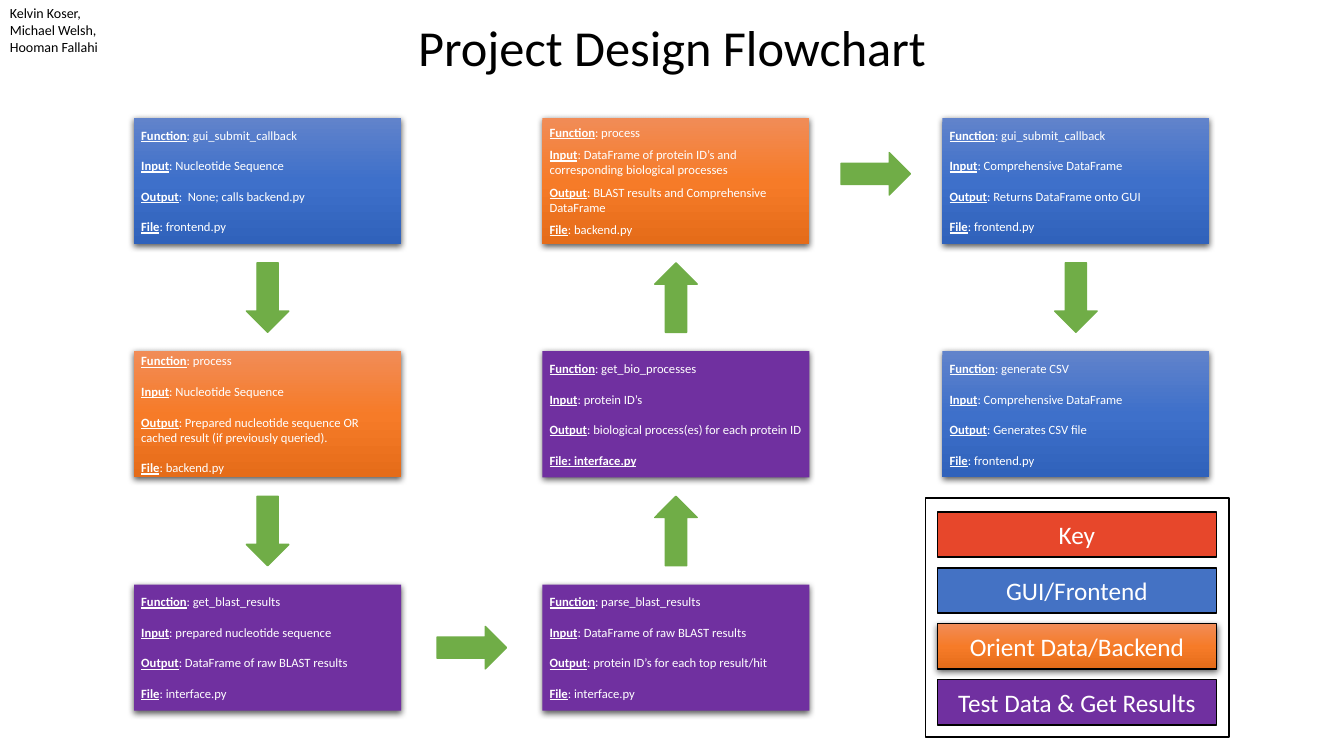
from copy import deepcopy

from lxml import etree
from pptx import Presentation
from pptx.dml.color import RGBColor
from pptx.enum.shapes import MSO_SHAPE
from pptx.enum.text import MSO_ANCHOR, PP_ALIGN
from pptx.oxml.ns import qn
from pptx.util import Cm, Pt

RECT, ARROW = MSO_SHAPE.RECTANGLE, MSO_SHAPE.DOWN_ARROW
LEFT, CENTER = PP_ALIGN.LEFT, PP_ALIGN.CENTER
MIDDLE = MSO_ANCHOR.MIDDLE

BLACK = RGBColor(0x00, 0x00, 0x00)
WHITE = RGBColor(0xFF, 0xFF, 0xFF)
GREEN = RGBColor(0x70, 0xAD, 0x47)
RED = RGBColor(0xE7, 0x47, 0x2B)
BLUE = RGBColor(0x44, 0x72, 0xC4)
PURPLE = RGBColor(0x70, 0x30, 0xA0)
FRONT = [RGBColor(0x61, 0x83, 0xCB), RGBColor(0x3E, 0x70, 0xCA), RGBColor(0x30, 0x62, 0xBB)]
BACK = [RGBColor(0xF1, 0x8C, 0x57), RGBColor(0xF6, 0x7B, 0x28), RGBColor(0xE5, 0x6C, 0x19)]
TEST = [PURPLE]


def draw(kind, area, fills, line=None, width=1, shade=False):
    shape = slide.shapes.add_shape(kind, *[Cm(v) for v in area])
    shape.shadow.inherit = False
    props = shape._element.spPr
    if len(fills) == 3:
        shape.fill.gradient()
        shape.fill.gradient_angle = 270
        stops = props.find(".//" + qn("a:gsLst"))
        stops.append(deepcopy(stops[0]))
        for i, stop in enumerate(shape.fill.gradient_stops):
            stop.position = i / 2
            stop.color.rgb = fills[i]
    elif fills:
        shape.fill.solid()
        shape.fill.fore_color.rgb = fills[0]
    else:
        shape.fill.background()
    if line is None:
        shape.line.fill.background()
    else:
        shape.line.color.rgb = line
        shape.line.width = Pt(width)
    if shade:
        glow = etree.SubElement(props.find(qn("a:effectLst")), qn("a:outerShdw"),
                                blurRad="57150", dist="19050", dir="5400000",
                                algn="ctr", rotWithShape="0")
        tint = etree.SubElement(glow, qn("a:srgbClr"), val="000000")
        etree.SubElement(tint, qn("a:alpha"), val="63000")
    return shape


def write(shape, lines, size, color, align, gap=0, frame={}):
    text = shape.text_frame
    for name, value in {"word_wrap": True, **frame}.items():
        setattr(text, name, value)
    for i, parts in enumerate(lines):
        para = text.paragraphs[0] if i == 0 else text.add_paragraph()
        para.alignment = align
        para.space_before = Pt(gap if i else 0)
        for words, strong in parts:
            run = para.add_run()
            run.text = words
            look = {"name": "Calibri", "size": Pt(size), "bold": strong, "underline": strong}
            for name, value in look.items():
                setattr(run.font, name, value)
            run.font.color.rgb = color


deck = Presentation()
deck.slide_width, deck.slide_height = Cm(33.87), Cm(19.05)
slide = deck.slides.add_slide(deck.slide_layouts[6])

HEADS = [
    ((0, 0, 4.42, 1.55), ["Kelvin Koser,", "Michael Welsh,", "Hooman Fallahi"], 10, LEFT),
    ((7.14, 0.28, 19.6, 1.8), ["Project Design Flowchart"], 36, CENTER),
]
for area, lines, size, align in HEADS:
    box = slide.shapes.add_textbox(*[Cm(v) for v in area])
    write(box, [[(line, False)] for line in lines], size, BLACK, align)

COLS = [3.38, 13.67, 23.75]
TOP, PITCH, WIDE, HIGH = 2.97, 5.88, 6.73, 3.18
LABELS = ["Function", "Input", "Output", "File"]
INSETS = {"vertical_anchor": MIDDLE, "margin_left": Cm(0.18), "margin_right": Cm(0.18),
          "margin_top": Cm(0.1), "margin_bottom": Cm(0.1)}
STEPS = [
    (0, 0, FRONT, 11, ["gui_submit_callback", "Nucleotide Sequence",
                       "  None; calls backend.py", "frontend.py"]),
    (1, 0, BACK, 5, ["process", "DataFrame of protein ID’s and corresponding biological processes",
                     "BLAST results and Comprehensive DataFrame", "backend.py"]),
    (0, 1, BACK, 11, ["process", "Nucleotide Sequence",
                      "Prepared nucleotide sequence OR cached result (if previously queried).",
                      "backend.py"]),
    (0, 2, TEST, 11, ["get_blast_results", "prepared nucleotide sequence",
                      "DataFrame of raw BLAST results", "interface.py"]),
    (1, 1, TEST, 11, ["get_bio_processes", "protein ID’s",
                      "biological process(es) for each protein ID", "interface.py"]),
    (1, 2, TEST, 11, ["parse_blast_results", "DataFrame of raw BLAST results",
                      "protein ID’s for each top result/hit", "interface.py"]),
    (2, 0, FRONT, 11, ["gui_submit_callback", "Comprehensive DataFrame",
                       "Returns DataFrame onto GUI", "frontend.py"]),
    (2, 1, FRONT, 11, ["generate CSV", "Comprehensive DataFrame",
                       "Generates CSV file", "frontend.py"]),
]
for col, row, fills, gap, facts in STEPS:
    box = draw(RECT, (COLS[col], TOP + row * PITCH, WIDE, HIGH), fills, shade=True)
    lines = []
    for label, fact in zip(LABELS, facts):
        strong = (col, row, label) == (1, 1, "File")
        tail = ":" + fact if fact.startswith(" ") else ": " + fact
        lines.append([(label + tail, True)] if strong else [(label, True), (tail, False)])
    write(box, lines, 9, WHITE, LEFT, gap, INSETS)

SHAFT, LONG = 1.07, 1.75
MIDS = [col + WIDE / 2 for col in COLS]
GAPS = [TOP + HIGH + (PITCH - HIGH) / 2 + i * PITCH for i in range(2)]
ARROWS = [
    (MIDS[0], GAPS[0], 0), (MIDS[0], GAPS[1], 0),
    (MIDS[1], GAPS[0], 180), (MIDS[1], GAPS[1], 180),
    (11.89, 16.32, 270), (22.07, 4.38, 270), (MIDS[2], GAPS[0], 0),
]
for x, y, turn in ARROWS:
    arrow = draw(ARROW, (x - SHAFT / 2, y - LONG / 2, SHAFT, LONG), [GREEN], GREEN)
    arrow.rotation = turn

KEYS = [
    ("Key", [RED], 1, False),
    ("GUI/Frontend", [BLUE], 1, False),
    ("Orient Data/Backend", BACK, 0.75, True),
    ("Test Data & Get Results", TEST, 1, False),
]
for i, (name, fills, width, shade) in enumerate(KEYS):
    key = draw(RECT, (23.62, 12.9 + i * 1.41, 7.04, 1.14), fills, BLACK, width, shade)
    write(key, [[(name, False)]], 18, WHITE, CENTER, frame={"vertical_anchor": MIDDLE})
draw(RECT, (23.32, 12.55, 7.65, 6.02), [], BLACK)

deck.save("out.pptx")
